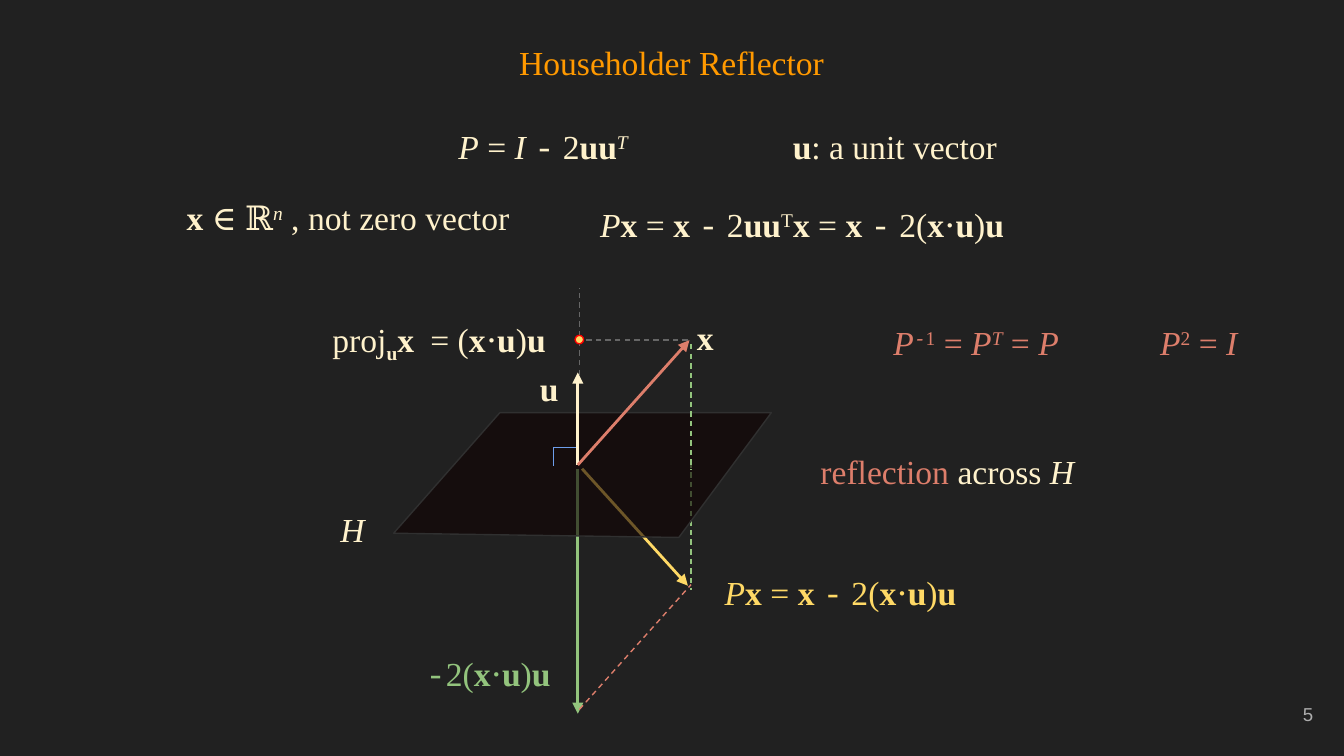
import lxml.etree
import pptx
import pptx.dml.color
import pptx.enum.dml
import pptx.enum.shapes
import pptx.enum.text
import pptx.oxml.ns
import pptx.util

Cm, Pt = pptx.util.Cm, pptx.util.Pt
Align = pptx.enum.text.PP_ALIGN
Anchor = pptx.enum.text.MSO_ANCHOR

THEME = {
    "back": "212121", "title": "FF9900", "cream": "FFF2CC", "gold": "FFD966",
    "green": "93C47D", "coral": "DD7E6B", "gray": "666666", "blue": "6D9EEB",
    "red": "FF0000", "plane": "0D0000", "edge": "303030", "page": "ADADAD",
    "serif": "Times New Roman", "mono": "Courier New", "sans": "Arial",
    "size": 18, "small": 10, "thin": 0.75, "thick": 1.5, "inset": 0.25,
}

# Runs are (text, style): b bold, i italic, ^ raised, _ lowered, m mono.
DOT = [("x", "b"), ("⋅", ""), ("u", "b"), (")", ""), ("u", "b")]
MINUS = [("x ", "b"), ("-", "m"), (" 2(", "")] + DOT

TITLE = ("Householder Reflector", (0.86, 0.43, 23.67, 1.22))
PAGE = ("5", (23.55, 12.95, 1.52, 1.09))

# Left, top, width, height in cm; colour; runs
LABELS = [
    ((5.16, 2.13, 10.21, 1.45), "cream",
     [("P", "i"), (" = ", ""), ("I ", "i"), ("-", "m"), (" 2", ""),
      ("uu", "b"), ("T", "i^")]),
    ((13.59, 2.13, 6.65, 1.45), "cream", [("u", "b"), (": a unit vector", "")]),
    ((2.54, 3.48, 8.08, 1.45), "cream",
     [("x ", "b"), ("∈ ℝ", ""), ("n", "i^"), (" , not zero vector", "")]),
    ((10.06, 3.61, 6.53, 1.22), "cream",
     [("P", "i"), ("x ", "b"), ("= ", ""), ("x ", "b"), ("-", "m"), (" 2", ""),
      ("uu", "b"), ("T", "^"), ("x", "b")]),
    ((14.83, 3.61, 4.78, 1.22), "cream", [("= ", "")] + MINUS),
    ((5.66, 5.77, 2.95, 1.22), "cream",
     [("proj", ""), ("u", "b_"), ("x ", "b")]),
    ((7.75, 5.77, 2.95, 1.22), "cream", [("= (", "")] + DOT),
    ((12.57, 5.74, 1.52, 1.22), "cream", [("x", "b")]),
    ((9.73, 6.71, 1.3, 1.09), "cream", [("u", "b")]),
    ((5.66, 9.37, 2.01, 1.22), "cream", [("H", "i")]),
    ((14.68, 5.84, 7.54, 1.45), "coral",
     [("P", "i"), ("-", "im^"), ("1", "^"), (" = ", ""), ("P", "i"),
      ("T", "i^"), (" = ", ""), ("P", "i")]),
    ((20.65, 5.84, 4.01, 1.45), "coral",
     [("P", "i"), ("2", "^"), (" = ", ""), ("I", "i")]),
    ((15.16, 8.28, 5.49, 1.22), "cream",
     [("reflection ", "", "coral"), ("across ", ""), ("H", "i")]),
    ((12.9, 10.57, 5.97, 1.22), "gold",
     [("P", "i"), ("x", "b"), (" = ", "")] + MINUS),
    ((7.75, 12.09, 2.95, 1.22), "green", [("-", "m"), ("2(", "")] + DOT),
]

# From, to, colour, kind
BELOW = [
    ((13.06, 8.74), (13.06, 11.15), "green", "dash"),
    ((11, 8.86), (13, 11.07), "gold", "arrow"),
    ((10.92, 8.86), (10.92, 13.49), "green", "arrow"),
]
PLANE = [(9.45, 7.8), (7.44, 10.08), (12.83, 10.16), (14.58, 7.8)]
ABOVE = [
    ((10.92, 8.46), (10.46, 8.46), "blue", "plain"),
    ((10.46, 8.46), (10.46, 8.81), "blue", "plain"),
    ((10.95, 7.09), (10.95, 5.44), "gray", "dash"),
    ((13, 6.43), (10.95, 6.43), "gray", "dash"),
    ((10.95, 13.41), (13.06, 11.05), "coral", "dash"),
    ((13.06, 6.5), (13.06, 8.89), "green", "dash"),
    ((10.92, 8.79), (10.92, 7.04), "cream", "arrow"),
    ((10.92, 8.79), (13.03, 6.43), "coral", "arrow"),
]
POINT = (10.87, 6.34, 0.16, 0.16)


def color(name):
    return pptx.dml.color.RGBColor.from_string(THEME[name])


def add_tag(parent, name, **values):
    return lxml.etree.SubElement(parent, pptx.oxml.ns.qn(name), values)


def style(font, tint, face="serif", size="size"):
    font.name, font.size = THEME[face], Pt(THEME[size])
    font.color.rgb = color(tint)


def set_frame(shape, anchor=Anchor.TOP):
    frame = shape.text_frame
    frame.word_wrap = True
    frame.auto_size = pptx.enum.text.MSO_AUTO_SIZE.NONE
    frame.vertical_anchor = anchor
    frame.margin_left = frame.margin_right = Cm(THEME["inset"])
    frame.margin_top = frame.margin_bottom = Cm(THEME["inset"])
    return frame


def add_label(shapes, box, tint, runs):
    frame = set_frame(shapes.add_textbox(*map(Cm, box)))
    para = frame.paragraphs[0]
    para.alignment = Align.CENTER
    for text, marks, *other in runs:
        run = para.add_run()
        run.text = text
        style(run.font, other[0] if other else tint,
              "mono" if "m" in marks else "serif")
        run.font.bold, run.font.italic = "b" in marks, "i" in marks
        for mark, shift in (("^", "30000"), ("_", "-25000")):
            if mark in marks:
                run.font._element.set("baseline", shift)


def add_line(shapes, start, end, tint, kind):
    line = shapes.add_connector(pptx.enum.shapes.MSO_CONNECTOR.STRAIGHT,
                                *map(Cm, start + end))
    line.line.color.rgb = color(tint)
    line.line.width = Pt(THEME["thick" if kind == "arrow" else "thin"])
    if kind == "dash":
        line.line.dash_style = pptx.enum.dml.MSO_LINE.DASH
    if kind == "arrow":
        add_tag(line.line._get_or_add_ln(), "a:tailEnd", type="triangle")
    add_tag(line._element.spPr, "a:effectLst")


def paint(shape, fill, edge):
    shape.shadow.inherit = False
    shape.fill.solid()
    shape.fill.fore_color.rgb = color(fill)
    shape.line.color.rgb = color(edge)
    shape.line.width = Pt(THEME["thin"])


def add_plane(shapes):
    spots = [(Cm(x), Cm(y)) for x, y in PLANE]
    pen = shapes.build_freeform(*spots[0])
    pen.add_line_segments(spots[1:], close=True)
    plane = pen.convert_to_shape()
    paint(plane, "plane", "edge")
    tone = plane._element.spPr.find(".//" + pptx.oxml.ns.qn("a:srgbClr"))
    add_tag(tone, "a:alpha", val="60000")


def add_title(shape):
    text, box = TITLE
    shape.left, shape.top, shape.width, shape.height = map(Cm, box)
    frame = set_frame(shape)
    frame.text = text
    para = frame.paragraphs[0]
    para.alignment, para.line_spacing = Align.CENTER, 1.15
    para.space_before, para.space_after = Pt(0), Pt(16)
    style(para.runs[0].font, "title")


def add_page(shapes):
    text, box = PAGE
    frame = set_frame(shapes.add_textbox(*map(Cm, box)), Anchor.MIDDLE)
    frame.text = text
    para = frame.paragraphs[0]
    para.alignment = Align.RIGHT
    style(para.runs[0].font, "page", "sans", "small")


def main():
    deck = pptx.Presentation()
    deck.slide_width, deck.slide_height = Cm(25.4), Cm(14.29)
    slide = deck.slides.add_slide(deck.slide_layouts[5])
    slide.background.fill.solid()
    slide.background.fill.fore_color.rgb = color("back")
    shapes = slide.shapes
    add_title(shapes.title)
    for item in BELOW:
        add_line(shapes, *item)
    add_plane(shapes)
    for item in ABOVE:
        add_line(shapes, *item)
    oval = pptx.enum.shapes.MSO_SHAPE.OVAL
    paint(shapes.add_shape(oval, *map(Cm, POINT)), "gold", "red")
    for item in LABELS:
        add_label(shapes, *item)
    add_page(shapes)
    deck.save("out.pptx")


if __name__ == "__main__":
    main()
